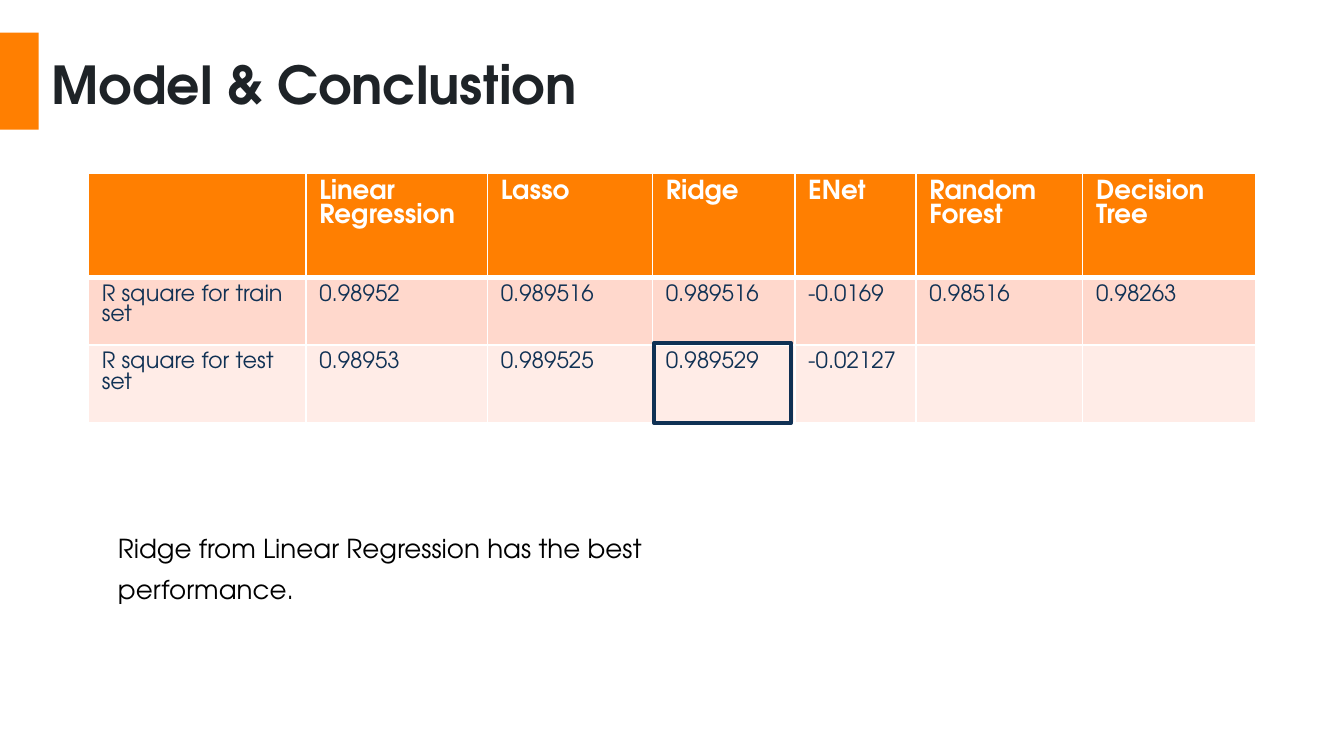
from lxml import etree
from pptx import Presentation
from pptx.dml.color import RGBColor
from pptx.enum.shapes import MSO_SHAPE
from pptx.oxml.ns import qn
from pptx.util import Cm, Pt

RECT = MSO_SHAPE.RECTANGLE
FONT = "TeX Gyre Adventor"
ORANGE = RGBColor(0xFF, 0x7F, 0x01)
INK = RGBColor(0x1E, 0x23, 0x27)
NAVY = RGBColor(0x10, 0x31, 0x54)
BLACK = RGBColor(0, 0, 0)
WHITE = RGBColor(0xFF, 0xFF, 0xFF)
ROW_FILLS = [ORANGE, RGBColor(0xFF, 0xD8, 0xCC), RGBColor(0xFF, 0xEC, 0xE7)]

COL_WIDTHS = [4.11, 3.43, 3.12, 2.69, 2.29, 3.15, 3.28]
ROW_HEIGHTS = [1.97, 1.27, 1.47]
SCORES = [
    ["", "Linear Regression", "Lasso", "Ridge", "ENet", "Random Forest", "Decision Tree"],
    ["R square for train set", "0.98952", "0.989516", "0.989516", "-0.0169", "0.98516", "0.98263"],
    ["R square for test set", "0.98953", "0.989525", "0.989529", "-0.02127", "", ""],
]
BEST_ROW, BEST_COL = 2, 3


def write(tf, text, size=14, color=BLACK, bold=False, spacing=1.0):
    tf.word_wrap = True
    p = tf.paragraphs[0]
    p.line_spacing = spacing
    r = p.add_run()
    r.text = text
    r.font.name = FONT
    r.font.size = Pt(size)
    r.font.bold = bold
    r.font.color.rgb = color


def add_text(s, x, y, w, h, text, **fmt):
    sp = s.shapes.add_textbox(Cm(x), Cm(y), Cm(w), Cm(h))
    write(sp.text_frame, text, **fmt)


def add_rect(s, x, y, w, h, fill=None, line=None):
    sp = s.shapes.add_shape(RECT, Cm(x), Cm(y), Cm(w), Cm(h))
    sp.shadow.inherit = False
    if fill is None:
        sp.fill.background()
    else:
        sp.fill.solid()
        sp.fill.fore_color.rgb = fill
    if line is None:
        sp.line.fill.background()
    else:
        sp.line.color.rgb = line
        sp.line.width = Pt(2)


def set_borders(cell, **widths):
    """Draw white cell borders; widths in points are keyed by side: L, R, T, B."""
    tc_pr = cell._tc.get_or_add_tcPr()
    for i, (side, width) in enumerate(widths.items()):
        ln = etree.Element(qn(f"a:ln{side}"), w=str(Pt(width)))
        fill = etree.SubElement(ln, qn("a:solidFill"))
        etree.SubElement(fill, qn("a:srgbClr"), val=str(WHITE))
        tc_pr.insert(i, ln)


def add_heading(s, x, y, w, h):
    tab_width = 0.73
    add_rect(s, x, y, tab_width, h, fill=ORANGE)
    add_text(s, x + tab_width, y + 0.12, w - tab_width, h - 0.26,
             "Model & Conclustion", size=28, color=INK, bold=True, spacing=1.1)


def add_score_table(s, x, y):
    table = s.shapes.add_table(len(SCORES), len(COL_WIDTHS), Cm(x), Cm(y),
                               Cm(sum(COL_WIDTHS)), Cm(sum(ROW_HEIGHTS))).table
    for col, width in zip(table.columns, COL_WIDTHS):
        col.width = Cm(width)
    for i, (row, height) in enumerate(zip(table.rows, ROW_HEIGHTS)):
        row.height = Cm(height)
        header = i == 0
        for cell, text in zip(row.cells, SCORES[i]):
            cell.fill.solid()
            cell.fill.fore_color.rgb = ROW_FILLS[i]
            set_borders(cell, L=1, R=1, T=3 if i == 1 else 1, B=3 if header else 1)
            if text:
                write(cell.text_frame, text, size=14 if header else 12,
                      color=WHITE if header else NAVY, bold=header)


def add_best_score_frame(s, table_x, table_y):
    x = table_x + sum(COL_WIDTHS[:BEST_COL])
    y = table_y + sum(ROW_HEIGHTS[:BEST_ROW])
    add_rect(s, x + 0.03, y - 0.04, COL_WIDTHS[BEST_COL] - 0.1,
             ROW_HEIGHTS[BEST_ROW] + 0.05, line=NAVY)


def main():
    prs = Presentation()
    prs.slide_width, prs.slide_height = Cm(25.4), Cm(14.29)
    s = prs.slides.add_slide(prs.slide_layouts[6])
    table_x, table_y = 1.67, 3.28
    add_heading(s, 0, 0.62, 16.36, 1.83)
    add_score_table(s, table_x, table_y)
    add_text(s, 1.98, 9.77, 13.79, 1.04,
             "Ridge from Linear Regression has the best performance.", spacing=1.3)
    add_best_score_frame(s, table_x, table_y)
    prs.save("out.pptx")


if __name__ == "__main__":
    main()
